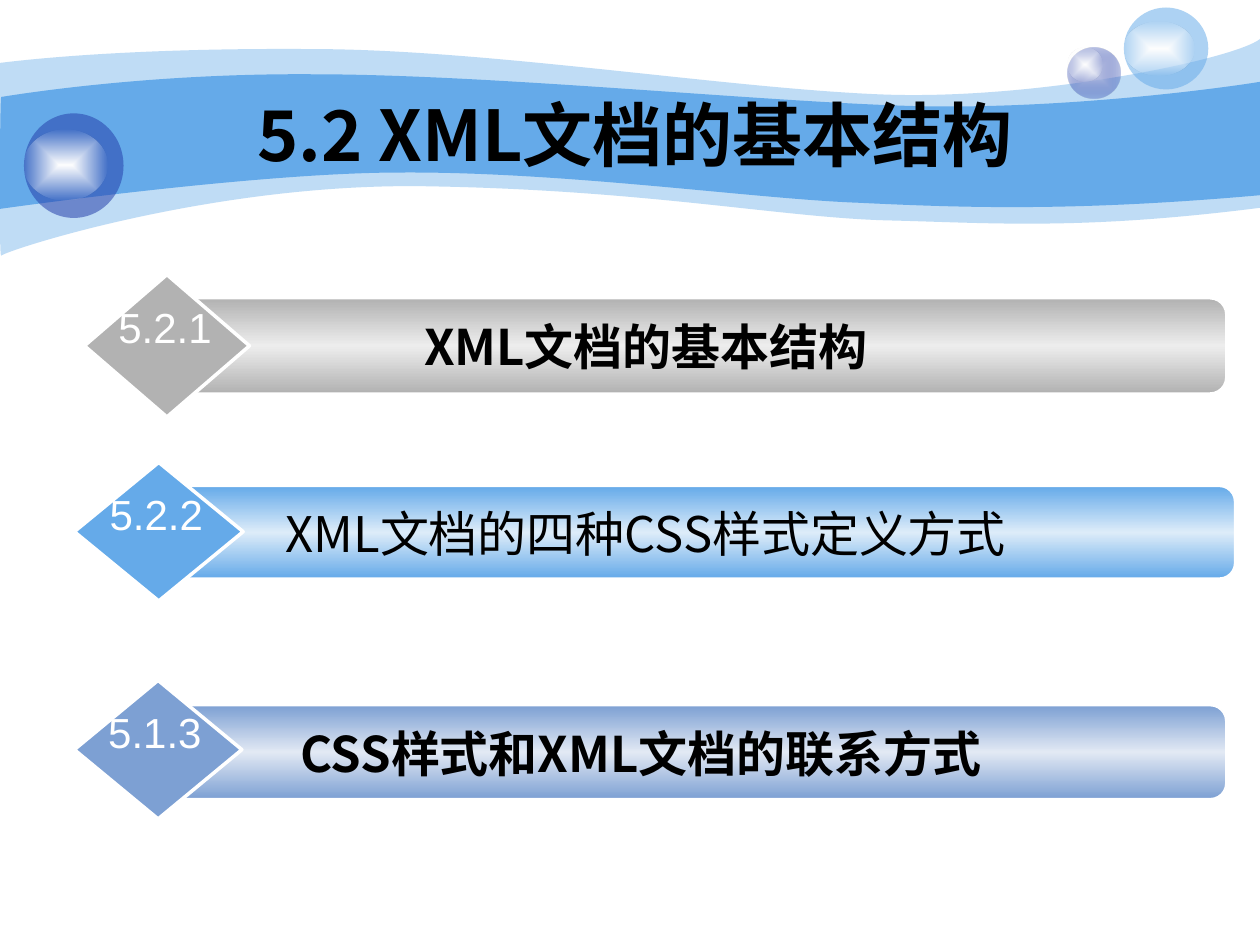
from dataclasses import dataclass
from typing import NamedTuple

from lxml.etree import SubElement
from pptx import Presentation
from pptx.dml.color import RGBColor
from pptx.enum.shapes import MSO_SHAPE
from pptx.enum.text import MSO_ANCHOR, PP_ALIGN
from pptx.oxml.ns import qn
from pptx.util import Inches, Pt

WHITE = RGBColor(0xFF, 0xFF, 0xFF)
NEAR_WHITE = RGBColor(0xFE, 0xFE, 0xFE)
BLACK = RGBColor(0x00, 0x00, 0x00)
SKY = RGBColor(0x65, 0xAA, 0xE9)
PALE_SKY = RGBColor(0xDD, 0xEC, 0xF9)
NAVY = RGBColor(0x23, 0x3D, 0xA9)
LILAC = RGBColor(0xC6, 0xCC, 0xE8)
GREY = RGBColor(0xB2, 0xB2, 0xB2)
PALE_GREY = RGBColor(0xED, 0xED, 0xED)
STEEL = RGBColor(0x7D, 0xA0, 0xD3)
PALE_STEEL = RGBColor(0xE2, 0xE9, 0xF4)

CJK_FONT = "Noto Sans CJK SC"
TITLE_FORMAT = {"name": CJK_FONT, "size": Pt(40), "bold": True}
TOPIC_FORMAT = {"name": CJK_FONT, "size": Pt(28)}
NUMBER_FORMAT = {"name": "Arial", "size": Pt(24), "bold": False}


class Frame(NamedTuple):
    left: float
    top: float
    width: float
    height: float

    def lengths(self) -> list:
        return [Inches(value) for value in self]


class Stop(NamedTuple):
    position: int
    color: RGBColor
    opacity: int = 100


@dataclass
class Wave:
    start: tuple
    upper: list
    right_edge: tuple
    lower: list
    opacity: int


@dataclass
class Sphere:
    body: Frame
    glint: Frame
    stops: list


@dataclass
class Topic:
    number: str
    text: str
    bold: bool
    color: RGBColor
    middle: RGBColor
    bar: Frame
    diamond: Frame
    text_box: Frame
    number_box: Frame


WAVES = [
    Wave((0, 0.5),
         [(0.24, 0.47), (1.07, 0.38), (2.47, 0.39), (3.86, 0.39), (5.75, 0.7),
          (6.99, 0.75), (8.22, 0.8), (9.8, 0.47), (10, 0.31)],
         (10, 1.65),
         [(8.58, 1.83), (7.87, 1.77), (7.05, 1.75), (6.22, 1.73), (5.15, 1.51),
          (3.43, 1.48), (1.72, 1.44), (0.04, 1.99), (0.01, 2.03), (-0.01, 2.08),
          (0, 0.75), (0, 0.5)], 41),
    Wave((0.01, 0.77),
         [(0.02, 0.77), (1.1, 0.58), (2.48, 0.59), (3.86, 0.59), (5.95, 0.8),
          (7.18, 0.84), (8.41, 0.88), (9.76, 0.69), (10, 0.65)],
         (10, 1.55),
         [(8.53, 1.68), (7.65, 1.65), (6.82, 1.61), (5.99, 1.58), (4.47, 1.36),
          (3.17, 1.37), (2.03, 1.37), (-0.02, 1.66), (-0.01, 1.66), (0, 1.66),
          (0, 0.77), (0.01, 0.77)], 100),
]
SPHERES = [
    Sphere(Frame(8.47, 0.38, 0.42, 0.4), Frame(8.47, 0.38, 0.28, 0.27),
           [Stop(0, LILAC), Stop(100, NAVY, 31)]),
    Sphere(Frame(8.92, 0.06, 0.67, 0.65), Frame(8.92, 0.17, 0.56, 0.43), [Stop(0, SKY, 53)]),
    Sphere(Frame(0.19, 0.9, 0.79, 0.83), Frame(0.19, 1.03, 0.66, 0.56), [Stop(0, NAVY, 53)]),
]
GLINT_STOPS = [Stop(0, WHITE), Stop(100, NEAR_WHITE, 0)]
TOPICS = [
    Topic("5.2.1", "XML文档的基本结构", True, GREY, PALE_GREY,
          Frame(1.4, 2.37, 8.33, 0.75), Frame(0.67, 2.18, 1.31, 1.13),
          Frame(1.84, 2.46, 6.57, 1.28), Frame(0.84, 2.34, 0.94, 0.5)),
    Topic("5.2.2", "XML文档的四种CSS样式定义方式", False, SKY, PALE_SKY,
          Frame(1.33, 3.86, 8.47, 0.73), Frame(0.59, 3.67, 1.34, 1.1),
          Frame(1.78, 3.95, 6.69, 0.57), Frame(0.77, 3.83, 0.94, 0.5)),
    Topic("5.1.3", "CSS样式和XML文档的联系方式", True, STEEL, PALE_STEEL,
          Frame(1.33, 5.6, 8.4, 0.74), Frame(0.59, 5.4, 1.33, 1.1),
          Frame(1.77, 5.69, 6.63, 1.28), Frame(0.76, 5.56, 0.94, 0.5)),
]


def add_color(parent, stop: Stop) -> None:
    color = SubElement(parent, qn("a:srgbClr"), val=str(stop.color))
    if stop.opacity < 100:
        SubElement(color, qn("a:alpha"), val=str(stop.opacity * 1000))


def paint(shape, stops: list, radial: bool = False) -> None:
    shape.shadow.inherit = False
    shape.fill.background()
    empty = shape._element.spPr.find(qn("a:noFill"))
    if len(stops) == 1:
        empty.tag = qn("a:solidFill")
        add_color(empty, stops[0])
        return
    empty.tag = qn("a:gradFill")
    stop_list = SubElement(empty, qn("a:gsLst"))
    for stop in stops:
        add_color(SubElement(stop_list, qn("a:gs"), pos=str(stop.position * 1000)), stop)
    if radial:
        center = SubElement(empty, qn("a:path"), path="rect")
        SubElement(center, qn("a:fillToRect"), {side: "50000" for side in "ltrb"})
    else:
        SubElement(empty, qn("a:lin"), ang="5400000", scaled="0")


def bend(segments: list) -> None:
    for first, second, third in zip(*[iter(segments)] * 3):
        first.tag = qn("a:cubicBezTo")
        for segment in (second, third):
            first.append(segment[0])
            segment.getparent().remove(segment)


def draw_wave(shapes, wave: Wave) -> None:
    points = [*wave.upper, wave.right_edge, *wave.lower]
    builder = shapes.build_freeform(*[Inches(value) for value in wave.start])
    builder.add_line_segments([(Inches(x), Inches(y)) for x, y in points], close=True)
    shape = builder.convert_to_shape()
    segments = list(shape._element.spPr.iter(qn("a:lnTo")))
    edge = len(wave.upper)
    bend(segments[:edge])
    bend(segments[edge + 1:edge + 1 + len(wave.lower)])
    paint(shape, [Stop(0, SKY, wave.opacity)])
    shape.line.fill.background()


def draw_sphere(shapes, sphere: Sphere) -> None:
    group = shapes.add_group_shape().shapes
    for frame, stops in ((sphere.body, sphere.stops), (sphere.glint, GLINT_STOPS)):
        oval = group.add_shape(MSO_SHAPE.OVAL, *frame.lengths())
        paint(oval, stops, radial=True)
        oval.line.fill.background()


def add_text(shapes, frame: Frame, text: str, text_format: dict, color: RGBColor,
             anchor=MSO_ANCHOR.TOP, wrap: bool = True) -> None:
    box = shapes.add_textbox(*frame.lengths()).text_frame
    box.word_wrap = wrap
    box.vertical_anchor = anchor
    para = box.paragraphs[0]
    para.alignment = PP_ALIGN.CENTER
    span = para.add_run()
    span.text = text
    for name, value in text_format.items():
        setattr(span.font, name, value)
    span.font.color.rgb = color
    SubElement(span._r.rPr, qn("a:ea"), typeface=text_format["name"])


def draw_topic(shapes, topic: Topic) -> None:
    group = shapes.add_group_shape().shapes
    edge = Stop(0, topic.color)
    bar_stops = [edge, Stop(50, topic.middle), Stop(100, topic.color)]
    for kind, frame, stops, width in (
            (MSO_SHAPE.ROUNDED_RECTANGLE, topic.bar, bar_stops, 1),
            (MSO_SHAPE.DIAMOND, topic.diamond, [edge], 2)):
        shape = group.add_shape(kind, *frame.lengths())
        paint(shape, stops)
        shape.line.color.rgb = WHITE
        shape.line.width = Pt(width)
    add_text(group, topic.text_box, topic.text, {**TOPIC_FORMAT, "bold": topic.bold}, BLACK)
    add_text(group, topic.number_box, topic.number, NUMBER_FORMAT, WHITE, wrap=False)


def main() -> None:
    deck = Presentation()
    deck.slide_width, deck.slide_height = Inches(10), Inches(7.5)
    page = deck.slides.add_slide(deck.slide_layouts[6])
    for wave in WAVES:
        draw_wave(page.shapes, wave)
    for sphere in SPHERES:
        draw_sphere(page.shapes, sphere)
    add_text(page.shapes, Frame(1, 0.75, 8.08, 0.62), "5.2 XML文档的基本结构",
             TITLE_FORMAT, BLACK, MSO_ANCHOR.MIDDLE)
    for topic in TOPICS:
        draw_topic(page.shapes, topic)
    deck.save("out.pptx")


if __name__ == "__main__":
    main()
